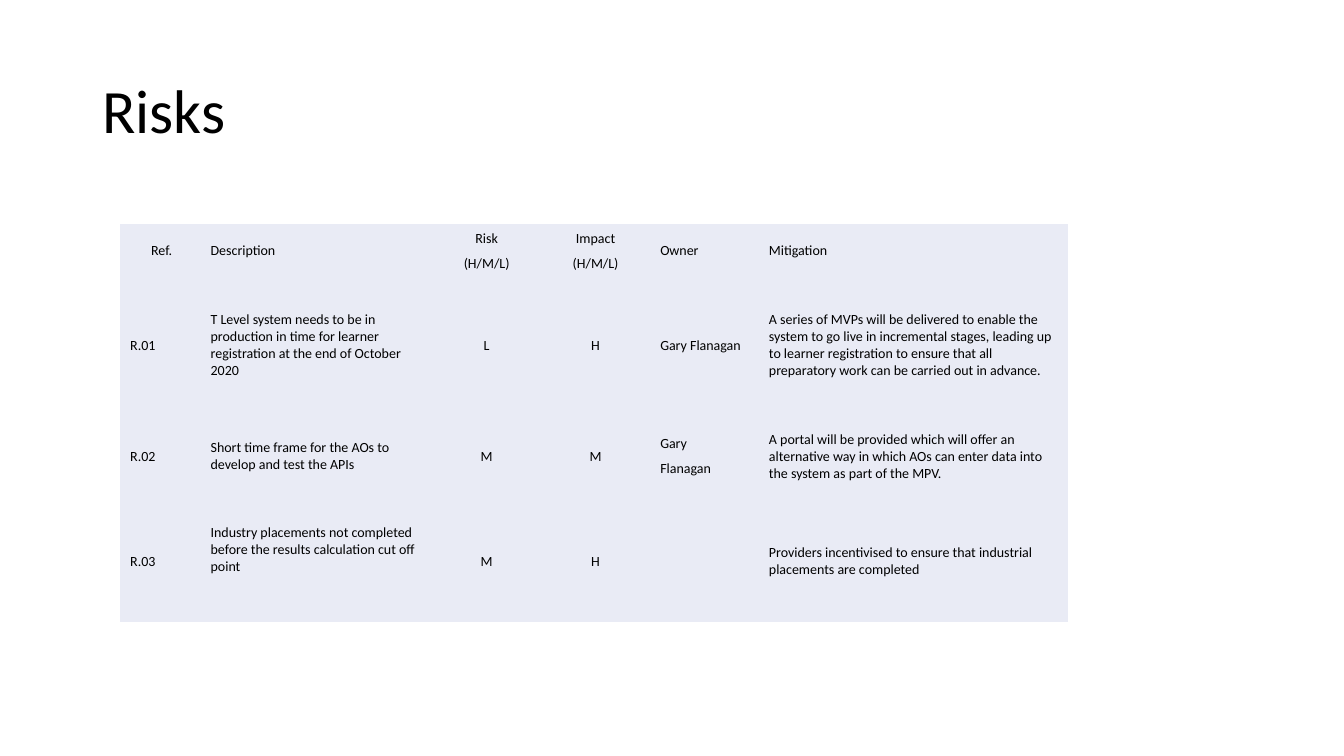
from dataclasses import dataclass

from lxml import etree
from pptx import Presentation
from pptx.dml.color import RGBColor
from pptx.enum.text import MSO_ANCHOR, PP_ALIGN
from pptx.oxml.ns import qn
from pptx.util import Cm, Pt

MIDDLE = MSO_ANCHOR.MIDDLE
LEFT, CENTER = PP_ALIGN.LEFT, PP_ALIGN.CENTER


@dataclass(frozen=True)
class Theme:
    font: str = "Calibri"
    ink: str = "000000"
    fill: str = "E9EBF5"
    edge: str = "FFFFFF"
    title: int = 44
    body: int = 10


THEME = Theme()
WIDTHS = (2.03, 5.84, 2.67, 2.82, 2.74, 7.82)
HEIGHTS = (1.4, 3.35, 2.24, 3.07)
RATINGS = (2, 3)
RISKS = (
    ("Ref.", "Description", "Risk\n(H/M/L)", "Impact\n(H/M/L)", "Owner",
     "Mitigation"),
    ("R.01",
     "T Level system needs to be in production in time for learner "
     "registration at the end of October 2020",
     "L", "H", "Gary Flanagan",
     "A series of MVPs will be delivered to enable the system to go live in "
     "incremental stages, leading up to learner registration to ensure that "
     "all preparatory work can be carried out in advance."),
    ("R.02", "Short time frame for the AOs to develop and test the APIs",
     "M", "M", "Gary\nFlanagan",
     "A portal will be provided which will offer an alternative way in which "
     "AOs can enter data into the system as part of the MPV."),
    ("R.03",
     "Industry placements not completed before the results calculation cut "
     "off point",
     "M", "H", "",
     "Providers incentivised to ensure that industrial placements are "
     "completed"),
)
RAISED = (3, 1)  # the one cell whose text sits above the middle


def style(para, size):
    for run in para.runs:
        run.font.name = THEME.font
        run.font.size = Pt(size)
        run.font.color.rgb = RGBColor.from_string(THEME.ink)


def add_title(slide, text, left, top, width, height):
    box = slide.shapes.add_textbox(Cm(left), Cm(top), Cm(width), Cm(height))
    frame = box.text_frame
    frame.word_wrap = True
    frame.vertical_anchor = MIDDLE
    frame.text = text
    para = frame.paragraphs[0]
    para.line_spacing = 0.9
    style(para, THEME.title)


def set_edges(cell, outer):
    """Rule the sides marked in outer (left, right, top, bottom); clear the rest."""
    props = cell._tc.get_or_add_tcPr()
    for i, (side, shown) in enumerate(zip("LRTB", outer)):
        line = etree.Element(qn(f"a:ln{side}"), w=str(Pt(1)))
        if shown:
            fill = etree.SubElement(line, qn("a:solidFill"))
            etree.SubElement(fill, qn("a:srgbClr"), val=THEME.edge)
        else:
            etree.SubElement(line, qn("a:noFill"))
        props.insert(i, line)


def fill_cell(cell, text, align):
    cell.fill.solid()
    cell.fill.fore_color.rgb = RGBColor.from_string(THEME.fill)
    cell.vertical_anchor = MIDDLE
    cell.margin_left = cell.margin_right = Cm(0.17)
    cell.margin_top = cell.margin_bottom = 0
    cell.text_frame.text = text
    for para in cell.text_frame.paragraphs:
        para.alignment = align
        para.space_before = para.space_after = Pt(3)
        para._p.get_or_add_pPr().set("marL", str(Cm(0.1)))
        style(para, THEME.body)


def add_risks(slide, left, top):
    rows, cols = len(HEIGHTS), len(WIDTHS)
    table = slide.shapes.add_table(
        rows, cols, Cm(left), Cm(top), Cm(sum(WIDTHS)), Cm(sum(HEIGHTS))).table
    table.first_row = table.horz_banding = False
    for col, width in zip(table.columns, WIDTHS):
        col.width = Cm(width)
    for r, texts in enumerate(RISKS):
        table.rows[r].height = Cm(HEIGHTS[r])
        for c, text in enumerate(texts):
            cell = table.cell(r, c)
            center = c in RATINGS or (r, c) == (0, 0)
            fill_cell(cell, text, CENTER if center else LEFT)
            set_edges(cell, (c == 0, c == cols - 1, r == 0, r == rows - 1))
    table.cell(*RAISED).margin_bottom = Cm(0.62)


def main():
    deck = Presentation()
    deck.slide_width, deck.slide_height = Cm(33.87), Cm(19.05)
    slide = deck.slides.add_slide(deck.slide_layouts[6])
    add_title(slide, "Risks", 2.33, 1.01, 29.21, 3.68)
    add_risks(slide, 3.01, 5.63)
    deck.save("out.pptx")


if __name__ == "__main__":
    main()
